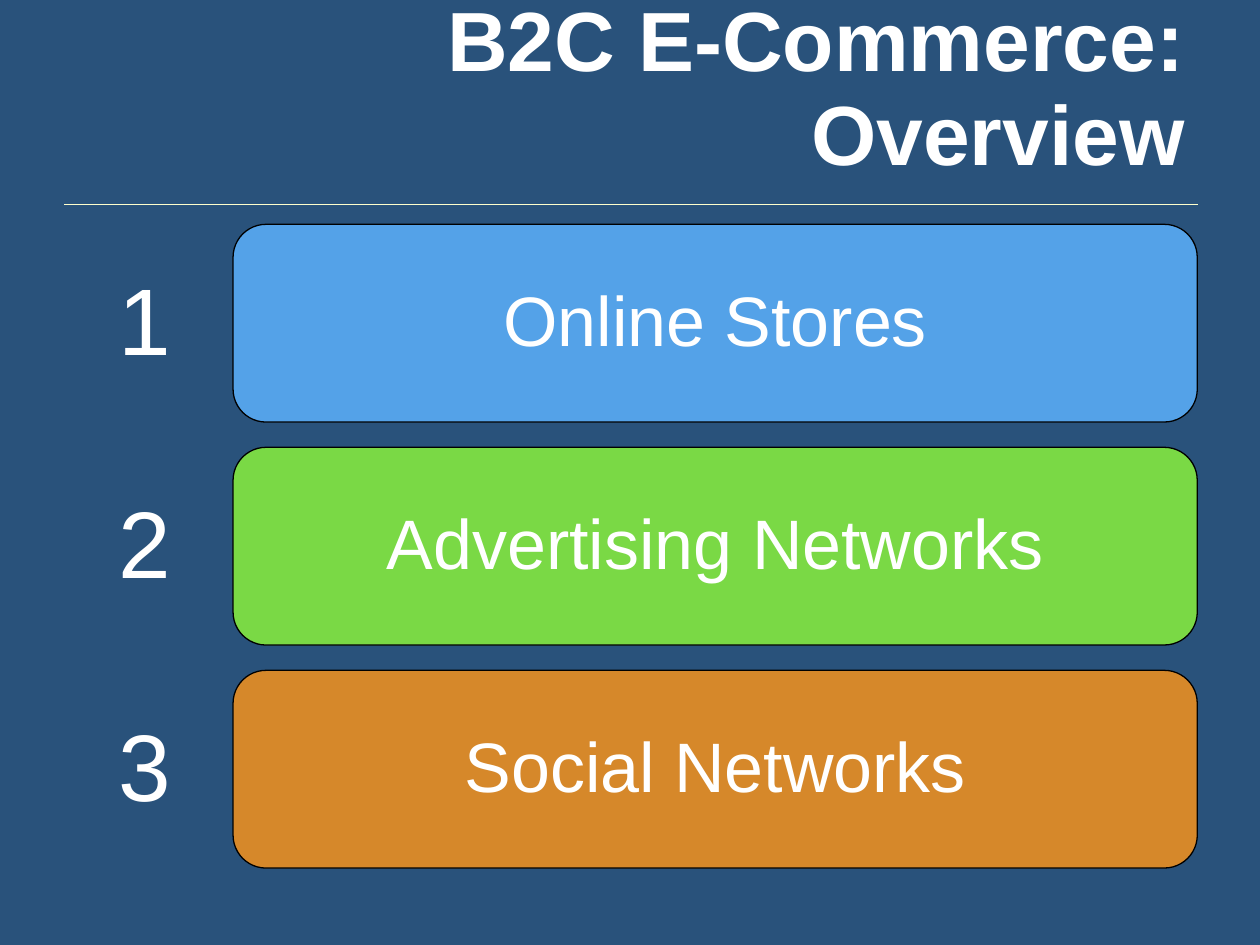
"""Build the B2C e-commerce overview slide."""
from lxml.etree import SubElement
from pptx import Presentation
from pptx.dml.color import RGBColor
from pptx.enum.shapes import MSO_CONNECTOR as Connector, MSO_SHAPE as Preset
from pptx.enum.text import MSO_ANCHOR as Anchor, MSO_AUTO_SIZE as AutoSize, PP_ALIGN as Align
from pptx.oxml.ns import qn
from pptx.util import Pt

COLORS = {
    "background": "29527B",
    "rule": "FFFFCC",
    "outline": "000000",
    "text": "FFFFFF",
    "blue": "54A2E8",
    "green": "7AD945",
    "orange": "D6882A",
}
TOPICS = [
    ("Online Stores", "blue"),
    ("Advertising Networks", "green"),
    ("Social Networks", "orange"),
]
FIRST_TOP = 128.2
ROW_PITCH = 127.44
NUMBER_DROP = 23


def color(name):
    return RGBColor.from_string(COLORS[name])


def write(frame, text, size, align, anchor, bold=False):
    frame.text = text
    frame.vertical_anchor = anchor
    paragraph = frame.paragraphs[0]
    paragraph.alignment = align
    paragraph.line_spacing = 0.93
    font = paragraph.runs[0].font
    font.name, font.size, font.bold = "Arial", Pt(size), bold
    font.color.rgb = color("text")


def add_rule(slide, left, right, y):
    rule = slide.shapes.add_connector(Connector.STRAIGHT, Pt(left), Pt(y), Pt(right), Pt(y))
    rule.line.color.rgb = color("rule")
    rule.line.width = Pt(0.5)
    SubElement(rule._element.spPr, qn("a:effectLst"))


def add_title(slide, text):
    title = slide.shapes.add_textbox(Pt(36.7), Pt(-13.7), Pt(647.3), Pt(122.4))
    title.text_frame.word_wrap = True
    write(title.text_frame, text, 48, Align.RIGHT, Anchor.BOTTOM, bold=True)


def add_topic(slide, top, text, fill):
    topic = slide.shapes.add_shape(
        Preset.ROUNDED_RECTANGLE, Pt(133.2), Pt(top), Pt(551), Pt(113))
    topic.shadow.inherit = False
    topic.fill.solid()
    topic.fill.fore_color.rgb = color(fill)
    topic.line.color.rgb = color("outline")
    topic.line.width = Pt(0.75)
    topic.text_frame.word_wrap = False
    write(topic.text_frame, text, 40, Align.CENTER, Anchor.MIDDLE)


def add_number(slide, top, number):
    label = slide.shapes.add_textbox(Pt(60.5), Pt(top), Pt(45.4), Pt(67.7))
    label.text_frame.word_wrap = True
    label.text_frame.auto_size = AutoSize.SHAPE_TO_FIT_TEXT
    write(label.text_frame, str(number), 54, Align.LEFT, Anchor.TOP)


def main():
    deck = Presentation()
    deck.slide_width, deck.slide_height = Pt(720), Pt(540)
    slide = deck.slides.add_slide(deck.slide_layouts[6])
    slide.background.fill.solid()
    slide.background.fill.fore_color.rgb = color("background")

    add_rule(slide, 36.7, 684.7, 116.7)
    add_title(slide, "B2C E-Commerce: Overview")
    for row, (text, fill) in enumerate(TOPICS):
        top = FIRST_TOP + row * ROW_PITCH
        add_topic(slide, top, text, fill)
        add_number(slide, top + NUMBER_DROP, row + 1)

    deck.save("out.pptx")


if __name__ == "__main__":
    main()
